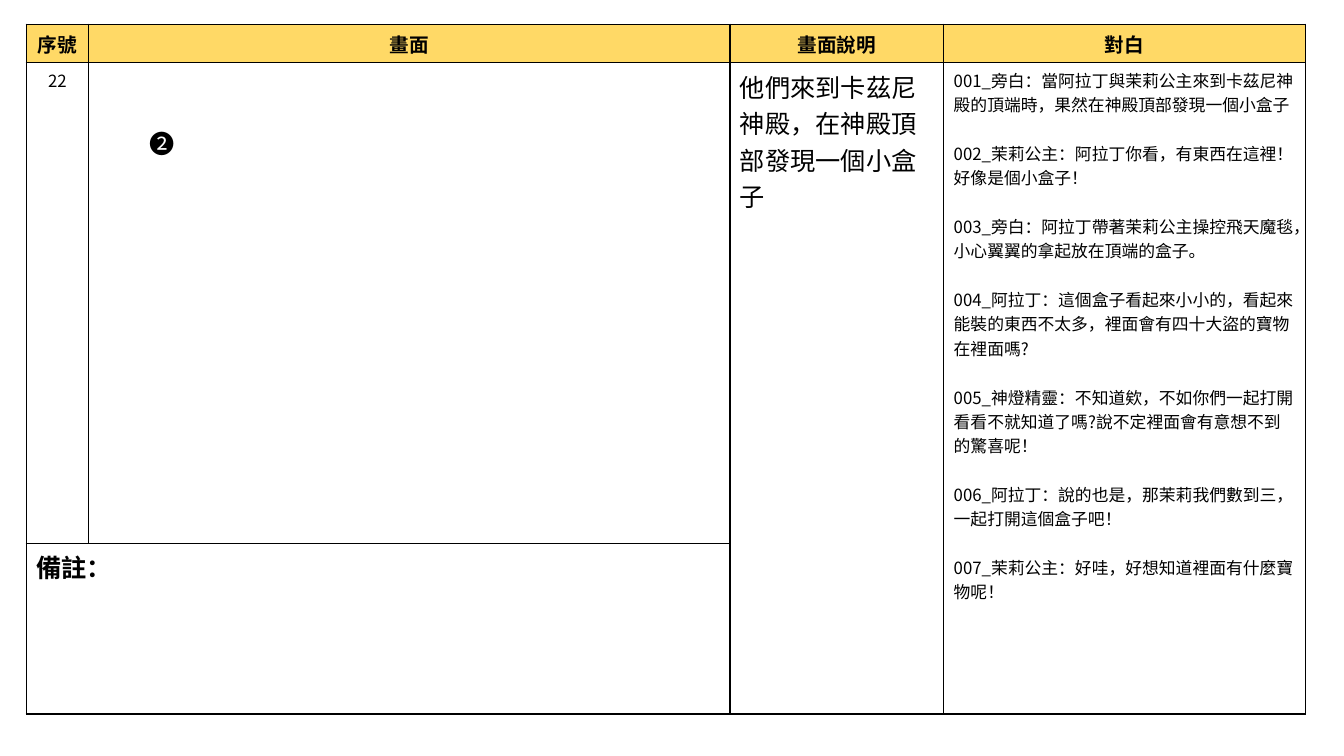
"""Build a storyboard sheet with one scene, its description and its dialogue."""
import pptx
import pptx.dml.color
import pptx.enum.text
import pptx.oxml.ns
import pptx.util
from lxml import etree

Inches = pptx.util.Inches
Pt = pptx.util.Pt
BLACK = pptx.dml.color.RGBColor(0x00, 0x00, 0x00)
GOLD = pptx.dml.color.RGBColor(0xFF, 0xD9, 0x66)
CENTER = pptx.enum.text.PP_ALIGN.CENTER
FONT = "Noto Sans CJK SC"

COLS = [0.62, 6.36, 2.12, 3.59]
ROWS = [0.37, 4.77, 1.69]
HEADS = ["序號", "畫面", "畫面說明", "對白"]
SCENE = "他們來到卡茲尼神殿，在神殿頂部發現一個小盒子"
LINES = [
    "001_旁白：當阿拉丁與茉莉公主來到卡茲尼神殿的頂端時，果然在神殿頂部發現一個小盒子",
    "002_茉莉公主：阿拉丁你看，有東西在這裡！好像是個小盒子！",
    "003_旁白：阿拉丁帶著茉莉公主操控飛天魔毯，小心翼翼的拿起放在頂端的盒子。",
    "004_阿拉丁：這個盒子看起來小小的，看起來能裝的東西不太多，裡面會有四十大盜的寶物在裡面嗎?",
    "005_神燈精靈：不知道欸，不如你們一起打開看看不就知道了嗎?說不定裡面會有意想不到的驚喜呢！",
    "006_阿拉丁：說的也是，那茉莉我們數到三，一起打開這個盒子吧！",
    "007_茉莉公主：好哇，好想知道裡面有什麼寶物呢！",
]


def write(frame, *lines, size=18, bold=False, align=None, gap=0):
    for i, line in enumerate(lines):
        para = frame.add_paragraph() if i else frame.paragraphs[0]
        para.alignment = align
        if i:
            para.space_before = Pt(gap)
        run = para.add_run()
        run.text = line
        font = run.font
        font.name, font.size, font.bold = FONT, Pt(size), bold
        font.color.rgb = BLACK
        east = etree.SubElement(font._element, pptx.oxml.ns.qn("a:ea"))
        east.set("typeface", FONT)


class Sheet:
    def __init__(self, deck):
        self.slide = deck.slides.add_slide(deck.slide_layouts[6])
        self.line = BLACK
        self.width = Pt(1)

    def edge(self, cell):
        props = cell._tc.get_or_add_tcPr()
        for i, side in enumerate(["lnL", "lnR", "lnT", "lnB"]):
            line = etree.Element(pptx.oxml.ns.qn("a:" + side), w=str(self.width))
            fill = etree.SubElement(line, pptx.oxml.ns.qn("a:solidFill"))
            etree.SubElement(fill, pptx.oxml.ns.qn("a:srgbClr"), val=str(self.line))
            props.insert(i, line)

    def grid(self, left, top, cols, rows):
        frame = self.slide.shapes.add_table(
            len(rows), len(cols), Inches(left), Inches(top),
            Inches(sum(cols)), Inches(sum(rows)))
        table = frame.table
        for col, width in zip(table.columns, cols):
            col.width = Inches(width)
        for row, height in zip(table.rows, rows):
            row.height = Inches(height)
        for r in range(len(rows)):
            for c in range(len(cols)):
                cell = table.cell(r, c)
                if r == 0:
                    cell.fill.solid()
                    cell.fill.fore_color.rgb = GOLD
                else:
                    cell.fill.background()
                self.edge(cell)
        return table

    def label(self, text, left, top, width, height, **style):
        box = self.slide.shapes.add_textbox(
            Inches(left), Inches(top), Inches(width), Inches(height))
        box.text_frame.word_wrap = True
        box.text_frame.auto_size = pptx.enum.text.MSO_AUTO_SIZE.SHAPE_TO_FIT_TEXT
        write(box.text_frame, text, **style)


def main():
    deck = pptx.Presentation()
    deck.slide_width, deck.slide_height = Inches(13.33), Inches(7.5)
    sheet = Sheet(deck)
    table = sheet.grid(0.26, 0.24, COLS, ROWS)
    for c, head in enumerate(HEADS):
        write(table.cell(0, c).text_frame, head, size=14, bold=True, align=CENTER)
    for c in (2, 3):
        table.cell(1, c).merge(table.cell(2, c))
    table.cell(2, 0).merge(table.cell(2, 1))
    write(table.cell(1, 0).text_frame, "22", size=12, align=CENTER)
    write(table.cell(1, 2).text_frame, SCENE)
    write(table.cell(1, 3).text_frame, *LINES, size=12, gap=17.4)
    write(table.cell(2, 0).text_frame, "備註：", bold=True)
    sheet.label("❷", 1.38, 1.22, 0.43, 0.4)
    deck.save("out.pptx")


if __name__ == "__main__":
    main()
